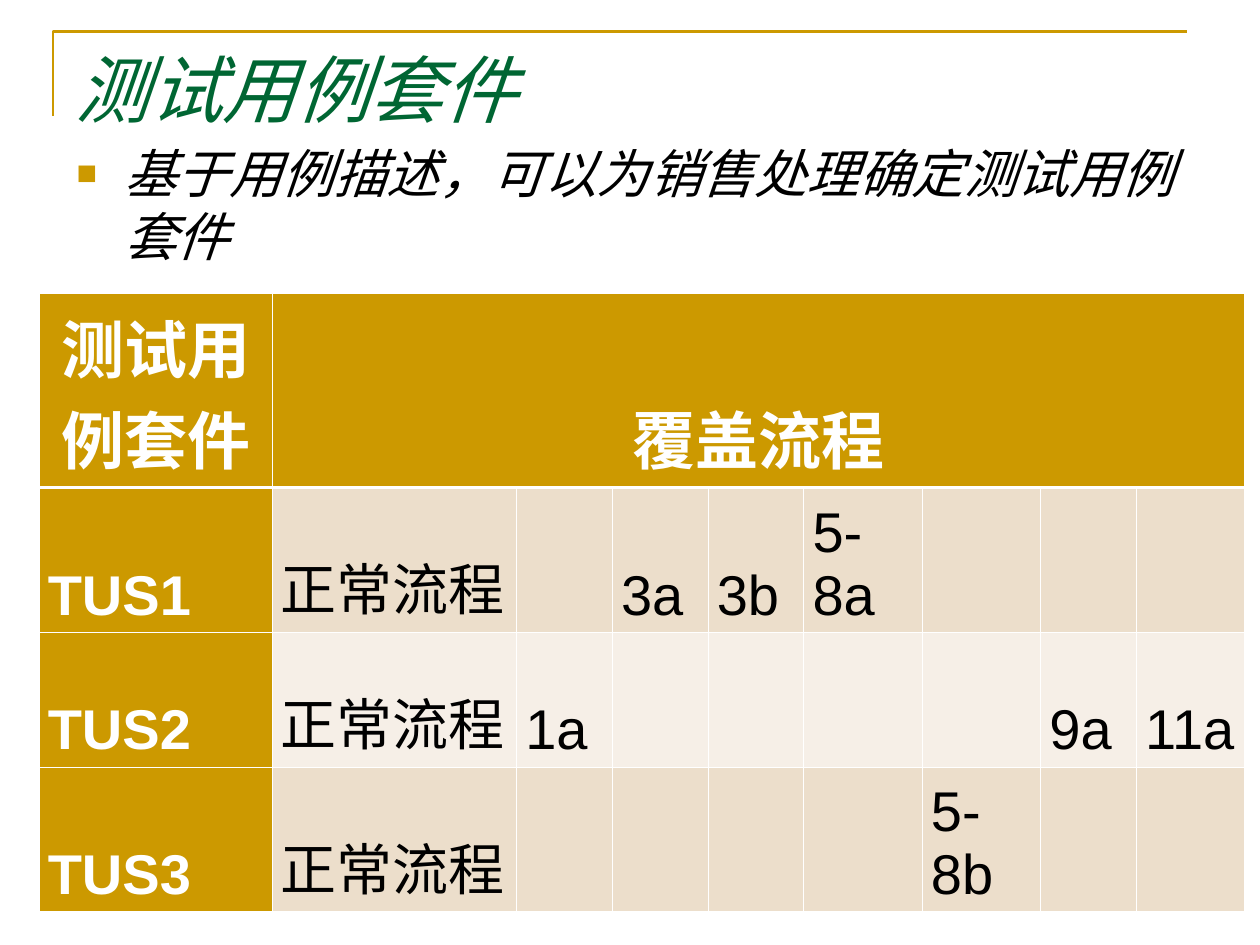
from dataclasses import dataclass

from lxml.etree import SubElement
from pptx import Presentation
from pptx.dml.color import RGBColor
from pptx.enum.shapes import MSO_CONNECTOR
from pptx.enum.text import MSO_ANCHOR as Anchor, MSO_AUTO_SIZE as AutoSize, PP_ALIGN as Align
from pptx.oxml.ns import qn
from pptx.util import Inches, Pt

GOLD, GREEN, WHITE, BLACK = "CC9900", "006633", "FFFFFF", "000000"
BANDS = ("ECDECB", "F6EFE7")
COLUMN_WIDTHS = (1.85, 1.94, 0.76, 0.76, 0.76, 0.94, 0.94, 0.76, 0.86)
HEADER_HEIGHT = 1.54
THIN, THICK = 0.45, 1.47


@dataclass(frozen=True)
class Suite:
    code: str
    height: float
    flows: dict[int, str]


SUITES = (
    Suite("TUS1", 1.1, {1: "正常流程", 3: "3a", 4: "3b", 5: "5-8a"}),
    Suite("TUS2", 1.07, {1: "正常流程", 2: "1a", 7: "9a", 8: "11a"}),
    Suite("TUS3", 1.1, {1: "正常流程", 6: "5-8b"}),
)


def color(hex_value: str) -> RGBColor:
    return RGBColor.from_string(hex_value)


def write(frame, text: str, *, size: float, fill: str, font: str = "Arial",
          bold: bool = False, italic: bool = False, align=Align.LEFT):
    paragraph = frame.paragraphs[0]
    paragraph.alignment = align
    run = paragraph.add_run()
    run.text = text
    run.font.name = font
    run.font.size = Pt(size)
    run.font.bold = bold
    run.font.italic = italic
    run.font.color.rgb = color(fill)
    return paragraph


def add_bullet(paragraph, char: str, fill: str, percent: int) -> None:
    props = paragraph._p.get_or_add_pPr()
    props.set("marL", str(Inches(0.38)))
    props.set("indent", str(Inches(-0.38)))
    bullet_color = SubElement(props, qn("a:buClr"))
    SubElement(bullet_color, qn("a:srgbClr"), val=fill)
    SubElement(props, qn("a:buSzPct"), val=str(percent * 1000))
    SubElement(props, qn("a:buFont"), typeface="Arial")
    SubElement(props, qn("a:buChar"), char=char)


def add_borders(cell, top: float, bottom: float) -> None:
    props = cell._tc.get_or_add_tcPr()
    for side, width in (("L", THIN), ("R", THIN), ("T", top), ("B", bottom)):
        border = SubElement(props, qn(f"a:ln{side}"), w=str(Pt(width)))
        solid = SubElement(border, qn("a:solidFill"))
        SubElement(solid, qn("a:srgbClr"), val=WHITE)


def style_cell(cell, fill: str, top: float, bottom: float) -> None:
    cell.margin_left = cell.margin_right = Inches(0.07)
    cell.margin_top = cell.margin_bottom = Inches(0.04)
    cell.vertical_anchor = Anchor.BOTTOM
    add_borders(cell, top, bottom)
    cell.fill.solid()
    cell.fill.fore_color.rgb = color(fill)


def add_frame_rules(slide) -> None:
    builder = slide.shapes.build_freeform(Inches(0.42), Inches(0.92))
    builder.add_line_segments(
        [(Inches(0.42), Inches(0.25)), (Inches(9.42), Inches(0.25))], close=False)
    corner = builder.convert_to_shape()
    corner.shadow.inherit = False
    corner.fill.background()
    footer = slide.shapes.add_connector(
        MSO_CONNECTOR.STRAIGHT, Inches(0.5), Inches(6.75), Inches(9.5), Inches(6.75))
    SubElement(footer._element.spPr, qn("a:effectLst"))
    for rule in (corner, footer):
        rule.line.color.rgb = color(GOLD)
        rule.line.width = Pt(1.5)


def add_title(slide, text: str) -> None:
    title = slide.shapes.title
    title.left, title.top = Inches(0.5), Inches(0.3)
    title.width, title.height = Inches(9), Inches(1.25)
    frame = title.text_frame
    frame.auto_size = AutoSize.NONE
    frame.vertical_anchor = Anchor.TOP
    write(frame, text, size=42, fill=GREEN, font="Times New Roman", italic=True)


def add_summary(slide, text: str) -> None:
    summary = slide.shapes.add_textbox(Inches(0.51), Inches(1.07), Inches(9), Inches(4.96))
    frame = summary.text_frame
    frame.word_wrap = True
    paragraph = write(frame, text, size=30, fill=BLACK, italic=True)
    paragraph.space_before = Pt(7.5)
    add_bullet(paragraph, "■", GOLD, 65)


def add_coverage(slide) -> None:
    height = HEADER_HEIGHT + sum(suite.height for suite in SUITES)
    table = slide.shapes.add_table(
        len(SUITES) + 1, len(COLUMN_WIDTHS), Inches(0.31), Inches(2.33),
        Inches(sum(COLUMN_WIDTHS)), Inches(height)).table
    for column, width in zip(table.columns, COLUMN_WIDTHS):
        column.width = Inches(width)
    table.rows[0].height = Inches(HEADER_HEIGHT)

    for index in range(len(COLUMN_WIDTHS)):
        style_cell(table.cell(0, index), GOLD, THIN, THICK)
    table.cell(0, 1).merge(table.cell(0, len(COLUMN_WIDTHS) - 1))
    for index, heading in enumerate(("测试用例套件", "覆盖流程")):
        write(table.cell(0, index).text_frame, heading,
              size=36, fill=WHITE, bold=True, align=Align.CENTER)

    for row, suite in enumerate(SUITES, start=1):
        table.rows[row].height = Inches(suite.height)
        entries = {0: suite.code, **suite.flows}
        for index in range(len(COLUMN_WIDTHS)):
            is_code = index == 0
            cell = table.cell(row, index)
            style_cell(cell, GOLD if is_code else BANDS[(row - 1) % 2],
                       THICK if row == 1 else THIN, THIN)
            if index in entries:
                write(cell.text_frame, entries[index], size=32,
                      fill=WHITE if is_code else BLACK, bold=is_code, align=Align.JUSTIFY)


def main() -> None:
    deck = Presentation()
    deck.slide_width, deck.slide_height = Inches(10), Inches(7.5)
    slide = deck.slides.add_slide(deck.slide_layouts[5])
    add_frame_rules(slide)
    add_title(slide, "测试用例套件")
    add_summary(slide, "基于用例描述，可以为销售处理确定测试用例套件")
    add_coverage(slide)
    deck.save("out.pptx")


if __name__ == "__main__":
    main()
